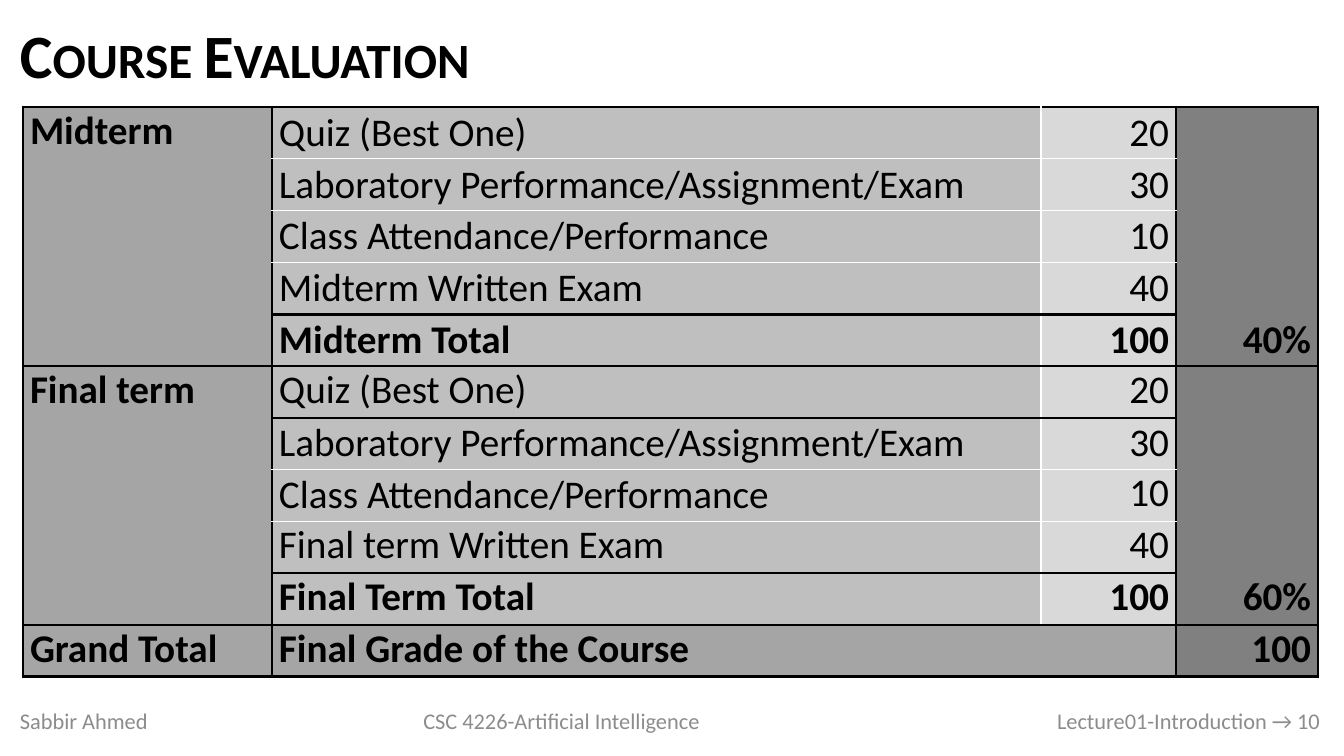
from pptx import Presentation
from pptx.dml.color import RGBColor as RGB
from pptx.enum.text import MSO_ANCHOR as ANC, PP_ALIGN as AL
from pptx.oxml.ns import qn
from pptx.util import Pt
from lxml.etree import SubElement as Sub

BLACK = RGB(0, 0, 0)
WHITE = RGB(255, 255, 255)
MUTED = RGB(0x8C, 0x8C, 0x8C)
FILLS = [RGB(0xA5, 0xA5, 0xA5), RGB(0xBF, 0xBF, 0xBF), RGB(0xD9, 0xD9, 0xD9), RGB(0x80, 0x80, 0x80)]

HEAD = {"size": Pt(44), "bold": True}
FOOT = {"size": Pt(16), "color": MUTED}
TEXTS = [
    ("Course Evaluation", (10, 11, 1320, 96), AL.LEFT, HEAD),
    ("Sabbir Ahmed", (10, 701, 201, 40), AL.LEFT, FOOT),
    ("CSC 4226-Artificial Intelligence", (392, 701, 339, 40), AL.CENTER, FOOT),
    ("Lecture01-Introduction → 10", (777, 701, 553, 40), AL.RIGHT, FOOT),
]
TERMS = [("Midterm", "Midterm", "Midterm Total", "40%"),
         ("Final term", "Final term", "Final Term Total", "60%")]
MARKS = [("Quiz (Best One)", "20"), ("Laboratory Performance/Assignment/Exam", "30"),
         ("Class Attendance/Performance", "10"), ("{} Written Exam", "40")]
GRAND = ("Grand Total", "Final Grade of the Course", "", "100")

rows = []
for name, exam, total, share in TERMS:
    for i, (item, mark) in enumerate(MARKS):
        rows.append(("" if i else name, item.format(exam), mark, ""))
    rows.append(("", total, "100", share))
rows.append(GRAND)

COLS = [249, 769, 135, 142]
LEFT, TOP, HIGH = 23, 107, 570
LAST = len(rows) - 1
BLOCKS = (0, 5, 10, 11)
TOTALS = (4, 9, 10)
UPPER = (5, 8, 9, 10)

HEAVY, THIN, PALE = (BLACK, 2.25), (BLACK, 1), (WHITE, 1)
SIDES = [HEAVY, THIN, PALE, HEAVY, HEAVY]


def px(n):
    return round(n * 914400 / 100.8)


def style(para, text, size, bold=False, color=BLACK):
    run = para.add_run()
    run.text = text
    for key, val in {"name": "Calibri", "size": size, "bold": bold}.items():
        setattr(run.font, key, val)
    run.font.color.rgb = color
    return run


def level(edge, col):
    if edge in BLOCKS:
        return HEAVY
    if col in (0, 3):
        return None
    if edge == 6:
        return BLACK, 1.5
    return HEAVY if edge in TOTALS else PALE


def border(cell, **edges):
    props = cell._tc.get_or_add_tcPr()
    for i, (tag, line) in enumerate(edges.items()):
        ln = props.makeelement(qn("a:" + tag), {})
        props.insert(i, ln)
        if line:
            color, width = line
            ln.set("w", str(Pt(width)))
            Sub(Sub(ln, qn("a:solidFill")), qn("a:srgbClr")).set("val", str(color))
        else:
            Sub(ln, qn("a:noFill"))


deck = Presentation()
deck.slide_width, deck.slide_height = px(1344), px(756)
slide = deck.slides.add_slide(deck.slide_layouts[6])

for text, spot, align, form in TEXTS:
    frame = slide.shapes.add_textbox(*map(px, spot)).text_frame
    frame.word_wrap = True
    frame.vertical_anchor = ANC.MIDDLE
    para = frame.paragraphs[0]
    para.alignment = align
    run = style(para, text, **form)
    if form is HEAD:
        para.line_spacing = 0.9
        run.font._element.set("cap", "small")

table = slide.shapes.add_table(len(rows), len(COLS), px(LEFT), px(TOP), px(sum(COLS)), px(HIGH)).table
table.first_row = table.horz_banding = False
for col, width in zip(table.columns, COLS):
    col.width = px(width)
for row in table.rows:
    row.height = px(HIGH / len(rows))

for r, row in enumerate(rows):
    for c, text in enumerate(row):
        cell = table.cell(r, c)
        high = c == 0 or r in UPPER or (r, c) == (7, 2)
        form = {"margin_left": px(7), "margin_right": px(7), "margin_top": 0, "margin_bottom": 0,
                "vertical_anchor": ANC.TOP if high else ANC.MIDDLE}
        for key, val in form.items():
            setattr(cell, key, val)
        cell.fill.solid()
        cell.fill.fore_color.rgb = FILLS[0] if r == LAST and c < 3 else FILLS[c]
        wide = r == LAST and c == 1
        border(cell, lnL=SIDES[c], lnR=SIDES[c + 1 + wide], lnT=level(r, c), lnB=level(r + 1, c))
        if text:
            para = cell.text_frame.paragraphs[0]
            para.alignment = AL.RIGHT if c > 1 else AL.LEFT
            style(para, text, Pt(28), r in TOTALS or c in (0, 3))

table.cell(LAST, 1).merge(table.cell(LAST, 2))
deck.save("out.pptx")
